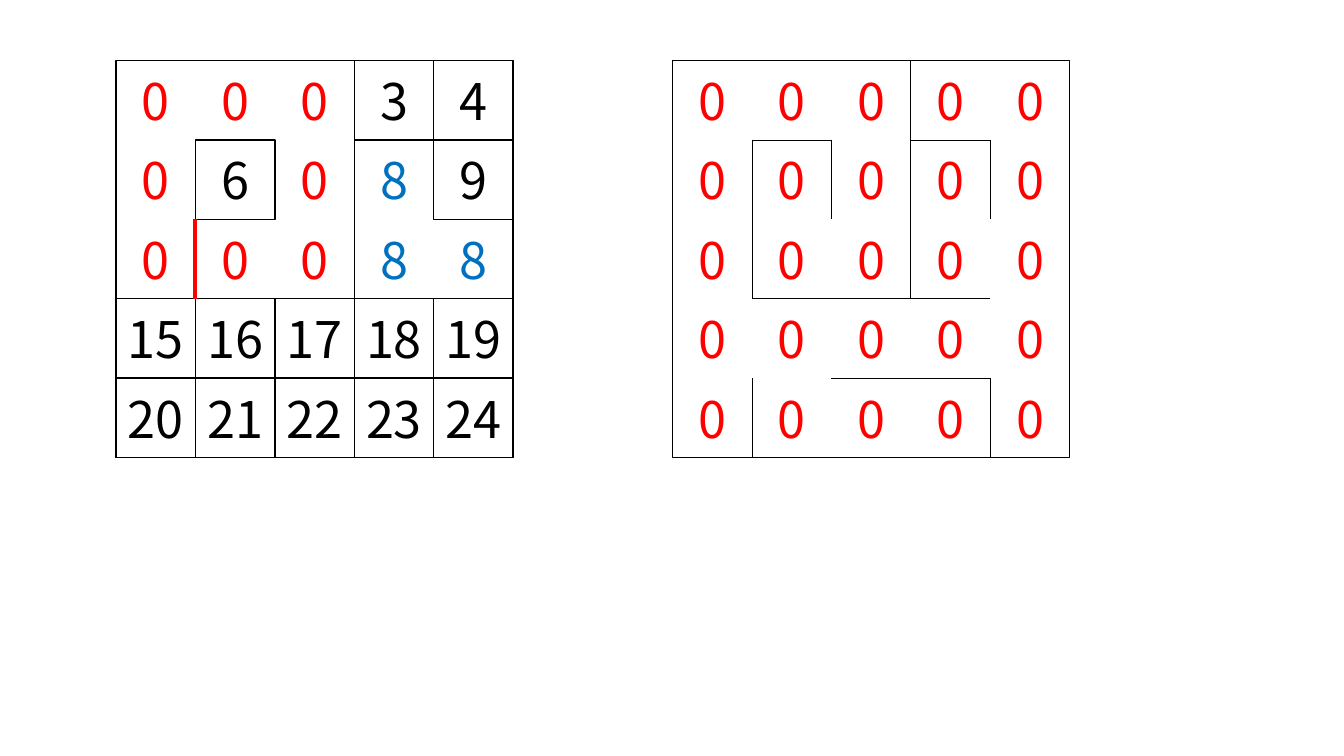
"""Two 5 by 5 number grids: a maze being carved and the finished maze."""
from dataclasses import dataclass

from lxml.etree import SubElement
from pptx import Presentation
from pptx.dml.color import RGBColor
from pptx.enum.shapes import MSO_CONNECTOR as Connector, MSO_SHAPE as Shape
from pptx.enum.text import MSO_ANCHOR as Anchor, PP_ALIGN as Align
from pptx.oxml.ns import qn
from pptx.util import Inches, Pt


@dataclass(frozen=True)
class Theme:
    black: RGBColor = RGBColor(0, 0, 0)
    white: RGBColor = RGBColor(255, 255, 255)
    red: RGBColor = RGBColor(255, 0, 0)
    blue: RGBColor = RGBColor(0, 0x70, 0xC0)
    font: str = "Noto Sans CJK JP"
    number: Pt = Pt(36)
    border: Pt = Pt(1)
    wall: Pt = Pt(0.5)
    removed_wall: Pt = Pt(3)


theme = Theme()
SIDE, COUNT, TOP = 3.94, 5, 0.6
CELL = SIDE / COUNT
LABEL_COLOURS = {"0": theme.red, "8": theme.blue}
CELL_TEXT = dict(word_wrap=True, vertical_anchor=Anchor.MIDDLE,
                 margin_left=0, margin_right=0, margin_top=0, margin_bottom=0)

mazes = [
    dict(
        left=1.15,
        rows=["0 0 0 3 4", "0 6 0 8 9", "0 0 0 8 8", "15 16 17 18 19", "20 21 22 23 24"],
        outlined=True,
        walls=[((1, 2), (1, 3), theme.red, theme.removed_wall),
               ((3, 1), (3, 3), theme.black, theme.wall)],
    ),
    dict(
        left=6.67,
        rows=["0 0 0 0 0"] * COUNT,
        outlined=False,
        walls=[(start, end, theme.black, theme.wall) for start, end in [
            ((1, 1), (1, 3)), ((1, 1), (2, 1)), ((2, 1), (2, 2)), ((3, 0), (3, 3)),
            ((4, 2), (4, 1)), ((3, 1), (4, 1)), ((1, 3), (3, 3)), ((1, 5), (1, 4)),
            ((2, 4), (4, 4)), ((4, 4), (4, 5)), ((4, 3), (3, 3))]],
    ),
]

prs = Presentation()
prs.slide_width, prs.slide_height = Inches(13.33), Inches(7.5)
slide = prs.slides.add_slide(prs.slide_layouts[6])


def add_square(left, top, side, colour):
    square = slide.shapes.add_shape(
        Shape.RECTANGLE, Inches(left), Inches(top), Inches(side), Inches(side))
    square.shadow.inherit = False
    square.fill.background()
    square.line.color.rgb = colour
    square.line.width = theme.border
    return square


for maze in mazes:
    for row, labels in enumerate(maze["rows"]):
        for column, label in enumerate(labels.split()):
            left, top = maze["left"] + column * CELL, TOP + row * CELL
            merged = label in LABEL_COLOURS
            on_edge = row == 0 or column == 0
            if maze["outlined"] and (on_edge or not merged):
                cell = add_square(left, top, CELL, theme.white if merged else theme.black)
            else:
                cell = slide.shapes.add_textbox(
                    Inches(left), Inches(top), Inches(CELL), Inches(CELL))
            for setting, value in CELL_TEXT.items():
                setattr(cell.text_frame, setting, value)
            paragraph = cell.text_frame.paragraphs[0]
            paragraph.alignment = Align.CENTER
            number = paragraph.add_run()
            number.text = label
            number.font.name = theme.font
            number.font.size = theme.number
            number.font.color.rgb = LABEL_COLOURS.get(label, theme.black)
            SubElement(number.font._element, qn("a:ea"), typeface=theme.font)

    add_square(maze["left"], TOP, SIDE, theme.black)

    for start, end, colour, width in maze["walls"]:
        corners = [Inches(origin + step * CELL)
                   for corner in (start, end)
                   for origin, step in zip((maze["left"], TOP), corner)]
        wall = slide.shapes.add_connector(Connector.STRAIGHT, *corners)
        wall.line.color.rgb = colour
        wall.line.width = width
        SubElement(wall._element.spPr, qn("a:effectLst"))

prs.save("out.pptx")
